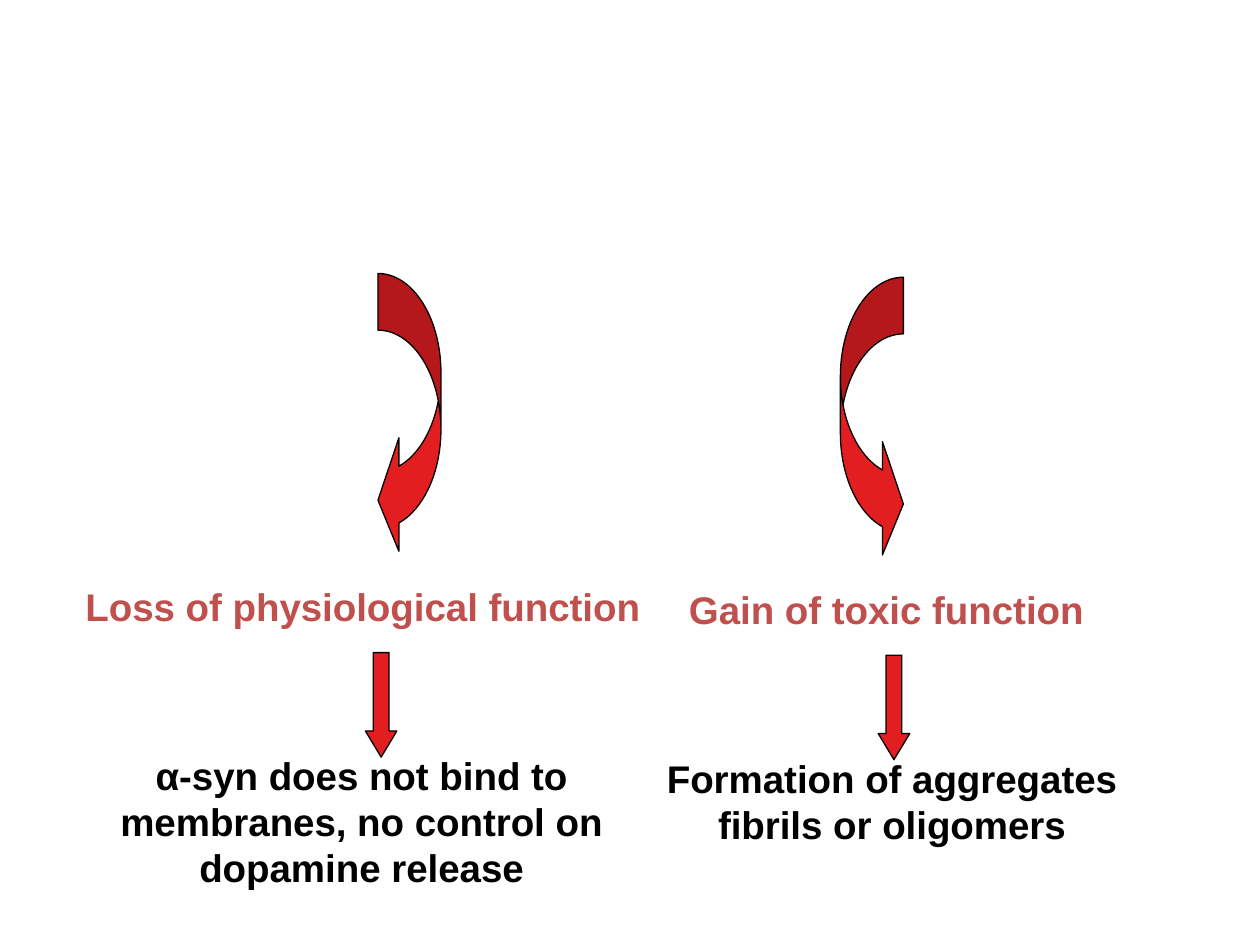
from pptx import Presentation
from pptx import util as u
from pptx.dml.color import RGBColor
from pptx.enum import shapes, text

RED = RGBColor(0xE3, 0x1E, 0x21)
BRICK = RGBColor(0xC0, 0x50, 0x4D)
BLACK = RGBColor(0, 0, 0)

COLUMNS, ROWS = 10, 7.5
CURVE_SIZE, CURVE_BENDS = (0.5, 2.25), (0.9, 1.8, 0.333)
DOWN_SIZE, DOWN_BENDS = (0.25, 0.83), (0.5, 0.833)


class SlideBuilder:
    """Draws on one slide; places are (column, row) and sizes (columns, rows)."""

    font_format = {"name": "Arial", "size": u.Pt(22), "bold": True}

    def __init__(self, presentation):
        self.slide = presentation.slides.add_slide(presentation.slide_layouts[6])
        self.column = presentation.slide_width / COLUMNS
        self.row = presentation.slide_height / ROWS

    def box(self, place, size):
        return [round(share * unit) for share, unit in
                zip((*place, *size), (self.column, self.row) * 2)]

    def arrow(self, kind, place, size, bends):
        shape = self.slide.shapes.add_shape(kind, *self.box(place, size))
        for index, bend in enumerate(bends):
            shape.adjustments[index] = bend
        shape.shadow.inherit = False
        shape.fill.solid()
        shape.fill.fore_color.rgb = RED
        shape.line.color.rgb = BLACK
        shape.line.width = u.Pt(0.75)

    def label(self, lines, place, size, color, align=text.PP_ALIGN.LEFT, wrap=False):
        frame = self.slide.shapes.add_textbox(*self.box(place, size)).text_frame
        frame.text = "\n".join(lines)
        frame.word_wrap = wrap
        frame.auto_size = text.MSO_AUTO_SIZE.SHAPE_TO_FIT_TEXT
        for paragraph in frame.paragraphs:
            paragraph.alignment = align
            font = paragraph.runs[0].font
            for name, value in self.font_format.items():
                setattr(font, name, value)
            font.color.rgb = color


def main():
    presentation = Presentation()
    presentation.slide_width, presentation.slide_height = u.Inches(10), u.Inches(7.5)
    builder = SlideBuilder(presentation)
    kinds = shapes.MSO_SHAPE
    center = text.PP_ALIGN.CENTER

    for kind, place in ((kinds.CURVED_LEFT_ARROW, (3, 2.17)),
                        (kinds.CURVED_RIGHT_ARROW, (6.67, 2.2))):
        builder.arrow(kind, place, CURVE_SIZE, CURVE_BENDS)

    for place in ((2.9, 5.18), (6.97, 5.2)):
        builder.arrow(kinds.DOWN_ARROW, place, DOWN_SIZE, DOWN_BENDS)

    builder.label(["Loss of physiological function"], (0.58, 4.58), (4.66, 0.47), BRICK)
    builder.label(["Gain of toxic function"], (5.37, 4.6), (3.37, 0.47), BRICK)
    builder.label(["α-syn does not bind to membranes, no control on dopamine release"],
                  (0.83, 5.92), (4.08, 1.21), BLACK, center, wrap=True)
    builder.label(["Formation of aggregates", "fibrils or oligomers"],
                  (5.17, 5.94), (3.82, 0.84), BLACK, center)

    presentation.save("out.pptx")


if __name__ == "__main__":
    main()
